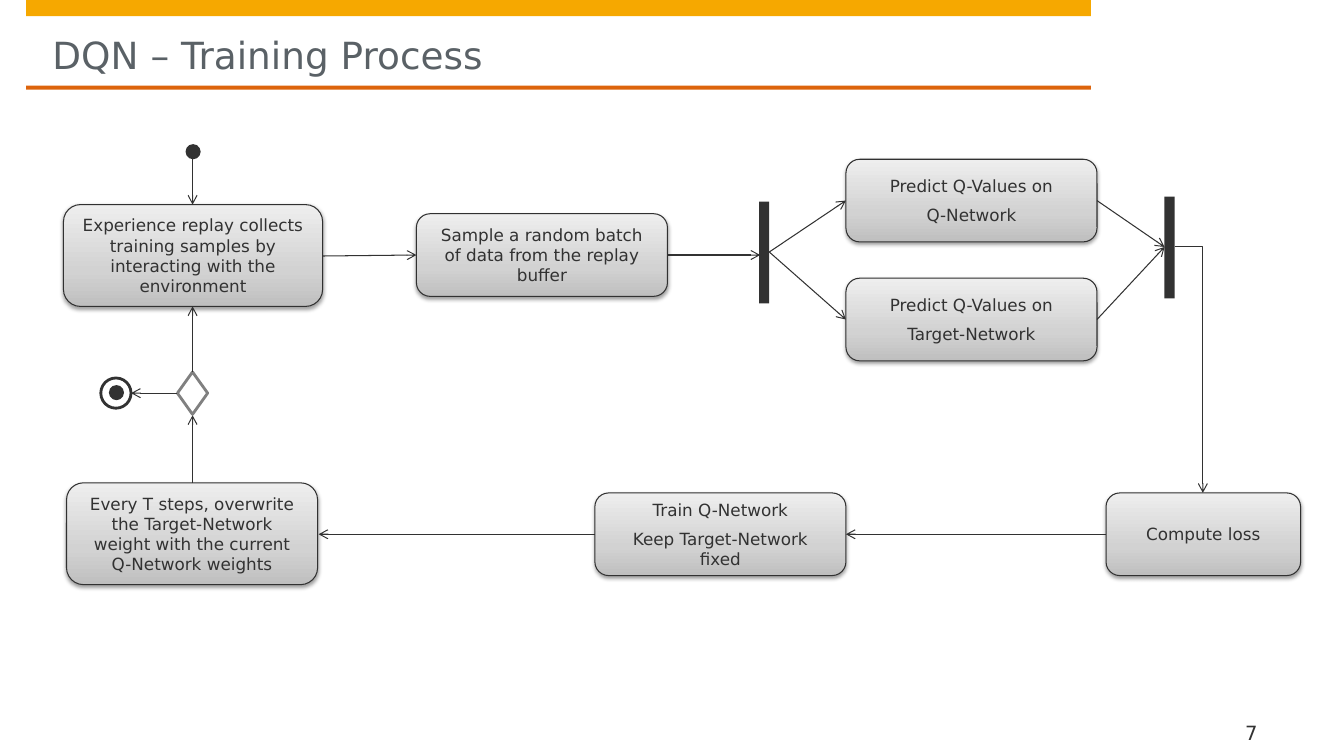
from copy import deepcopy

from lxml import etree
from pptx import Presentation
from pptx.dml.color import RGBColor
from pptx.enum import shapes, text
from pptx.oxml.ns import qn
from pptx.util import Inches, Pt

FONT = "DejaVu Sans"
AMBER = RGBColor(0xF6, 0xA8, 0x00)
ORANGE = RGBColor(0xDD, 0x64, 0x0C)
SLATE = RGBColor(0x5A, 0x61, 0x66)
DARK = RGBColor(0x32, 0x32, 0x32)
OUTLINE = RGBColor(0x31, 0x31, 0x31)
GREY = RGBColor(0x80, 0x80, 0x80)
WHITE = RGBColor(0xFF, 0xFF, 0xFF)
BOX_BOTTOM = RGBColor(0xBF, 0xBF, 0xBF)
BOX_MIDDLE = RGBColor(0xD2, 0xD2, 0xD2)
BOX_TOP = RGBColor(0xEE, 0xEE, 0xEE)
KIND = shapes.MSO_SHAPE


def write(shape, *lines, size, color=DARK, align=text.PP_ALIGN.LEFT,
          anchor=text.MSO_ANCHOR.MIDDLE, insets=(0, 0, 0, 0), spacing=0):
    frame = shape.text_frame
    frame.word_wrap = True
    frame.auto_size = text.MSO_AUTO_SIZE.NONE
    frame.vertical_anchor = anchor
    (frame.margin_left, frame.margin_top,
     frame.margin_right, frame.margin_bottom) = [Inches(inset) for inset in insets]
    frame.text = "\n".join(lines)
    for paragraph in frame.paragraphs:
        paragraph.alignment = align
        paragraph.space_before = paragraph.space_after = Pt(spacing)
        font = paragraph.runs[0].font
        font.name, font.size, font.color.rgb = FONT, Pt(size), color


def add_solid(parent, kind, left, top, width, height, fill, line=None):
    shape = parent.add_shape(kind, Inches(left), Inches(top), Inches(width), Inches(height))
    shape.shadow.inherit = False
    shape.fill.solid()
    shape.fill.fore_color.rgb = fill
    if line is None:
        shape.line.fill.background()
    else:
        shape.line.color.rgb = line
        shape.line.width = Pt(2)
    return shape


presentation = Presentation()
presentation.slide_width = Inches(13.33)
presentation.slide_height = Inches(7.5)
slide = presentation.slides.add_slide(presentation.slide_layouts[5])
canvas = slide.shapes

# Header bars, title and slide number
add_solid(canvas, KIND.RECTANGLE, 0.26, 0, 10.56, 0.16, AMBER)
add_solid(canvas, KIND.RECTANGLE, 0.26, 0.85, 10.56, 0.04, ORANGE)

title = canvas.title
title.left, title.top, title.width, title.height = map(Inches, (0.52, 0.16, 10.03, 0.61))
write(title, "DQN – Training Process", size=26.7, color=SLATE, insets=(0, 0.16, 0, 0))

number = canvas.add_textbox(Inches(12.23), Inches(7.09), Inches(0.84), Inches(0.29))
write(number, "7", size=14, anchor=text.MSO_ANCHOR.BOTTOM, insets=(0.12, 0, 0, 0))

# Activity boxes: left, top, width, height, lines
activities = [
    (0.63, 2.03, 2.57, 1.01,
     ["Experience replay collects training samples by interacting with the environment"]),
    (4.13, 2.12, 2.49, 0.82, ["Sample a random batch of data from the replay buffer"]),
    (8.39, 1.58, 2.49, 0.82, ["Predict Q-Values on", "Q-Network"]),
    (8.39, 2.76, 2.49, 0.82, ["Predict Q-Values on", "Target-Network"]),
    (10.97, 4.89, 1.93, 0.82, ["Compute loss"]),
    (5.9, 4.89, 2.49, 0.82, ["Train Q-Network", "Keep Target-Network fixed"]),
    (0.66, 4.79, 2.49, 1.01,
     ["Every T steps, overwrite the Target-Network weight with the current Q-Network weights"]),
]
for left, top, width, height, lines in activities:
    box = canvas.add_shape(KIND.ROUNDED_RECTANGLE, Inches(left), Inches(top),
                           Inches(width), Inches(height))
    box.line.color.rgb = OUTLINE
    box.line.width = Pt(0.75)

    # Three-stop gradient, running upwards
    box.fill.gradient()
    box.fill.gradient_angle = 90
    stop_list = box.element.spPr.find(f".//{qn('a:gsLst')}")
    stop_list.insert(1, deepcopy(stop_list[0]))
    for stop, position, color in zip(box.fill.gradient_stops, (0, 0.35, 1),
                                     (BOX_BOTTOM, BOX_MIDDLE, BOX_TOP)):
        stop.position = position
        stop.color.rgb = color

    # Soft shadow below
    box.shadow.inherit = False
    effects = box.element.spPr.find(qn("a:effectLst"))
    shadow = etree.SubElement(effects, qn("a:outerShdw"), blurRad=str(Pt(3.1)),
                              dist=str(Pt(1.6)), dir="5400000", rotWithShape="0")
    shadow_color = etree.SubElement(shadow, qn("a:srgbClr"), val="000000")
    etree.SubElement(shadow_color, qn("a:alpha"), val="38000")

    write(box, *lines, size=12, align=text.PP_ALIGN.CENTER,
          insets=(0.12, 0.08, 0.12, 0.08), spacing=3)

# Start, end, decision, fork and join
add_solid(canvas, KIND.OVAL, 1.84, 1.43, 0.15, 0.15, DARK)
end_state = canvas.add_group_shape().shapes
add_solid(end_state, KIND.OVAL, 1, 3.75, 0.3, 0.3, WHITE, DARK)
add_solid(end_state, KIND.OVAL, 1.08, 3.82, 0.15, 0.15, DARK)
add_solid(canvas, KIND.DIAMOND, 1.76, 3.69, 0.3, 0.42, WHITE, GREY)
add_solid(canvas, KIND.RECTANGLE, 7.53, 2, 0.1, 1.01, DARK)
add_solid(canvas, KIND.RECTANGLE, 11.55, 1.95, 0.1, 1.01, DARK)

# Arrows: from x, from y, to x, to y
STRAIGHT, ELBOW = shapes.MSO_CONNECTOR.STRAIGHT, shapes.MSO_CONNECTOR.ELBOW
flows = [
    (STRAIGHT, 1.91, 1.58, 1.91, 2.03),
    (STRAIGHT, 3.2, 2.54, 4.13, 2.53),
    (STRAIGHT, 6.62, 2.53, 7.54, 2.53),
    (STRAIGHT, 7.63, 2.5, 8.39, 1.99),
    (STRAIGHT, 7.63, 2.5, 8.39, 3.17),
    (STRAIGHT, 10.88, 1.99, 11.55, 2.45),
    (STRAIGHT, 10.88, 3.17, 11.55, 2.45),
    (ELBOW, 11.65, 2.45, 11.93, 4.89),
    (STRAIGHT, 10.97, 5.3, 8.39, 5.3),
    (STRAIGHT, 5.9, 5.3, 3.16, 5.3),
    (STRAIGHT, 1.91, 4.79, 1.91, 4.12),
    (STRAIGHT, 1.91, 3.69, 1.91, 3.04),
    (STRAIGHT, 1.76, 3.9, 1.3, 3.9),
]
for kind, *ends in flows:
    arrow = canvas.add_connector(kind, *map(Inches, ends))
    arrow.line.color.rgb = DARK
    arrow.line.width = Pt(0.75)
    properties = arrow.element.spPr
    etree.SubElement(properties.find(qn("a:ln")), qn("a:tailEnd"), type="arrow")
    etree.SubElement(properties, qn("a:effectLst"))
    if kind == ELBOW:  # a single bend: right, then down
        properties.find(qn("a:prstGeom")).set("prst", "bentConnector2")

presentation.save("out.pptx")
